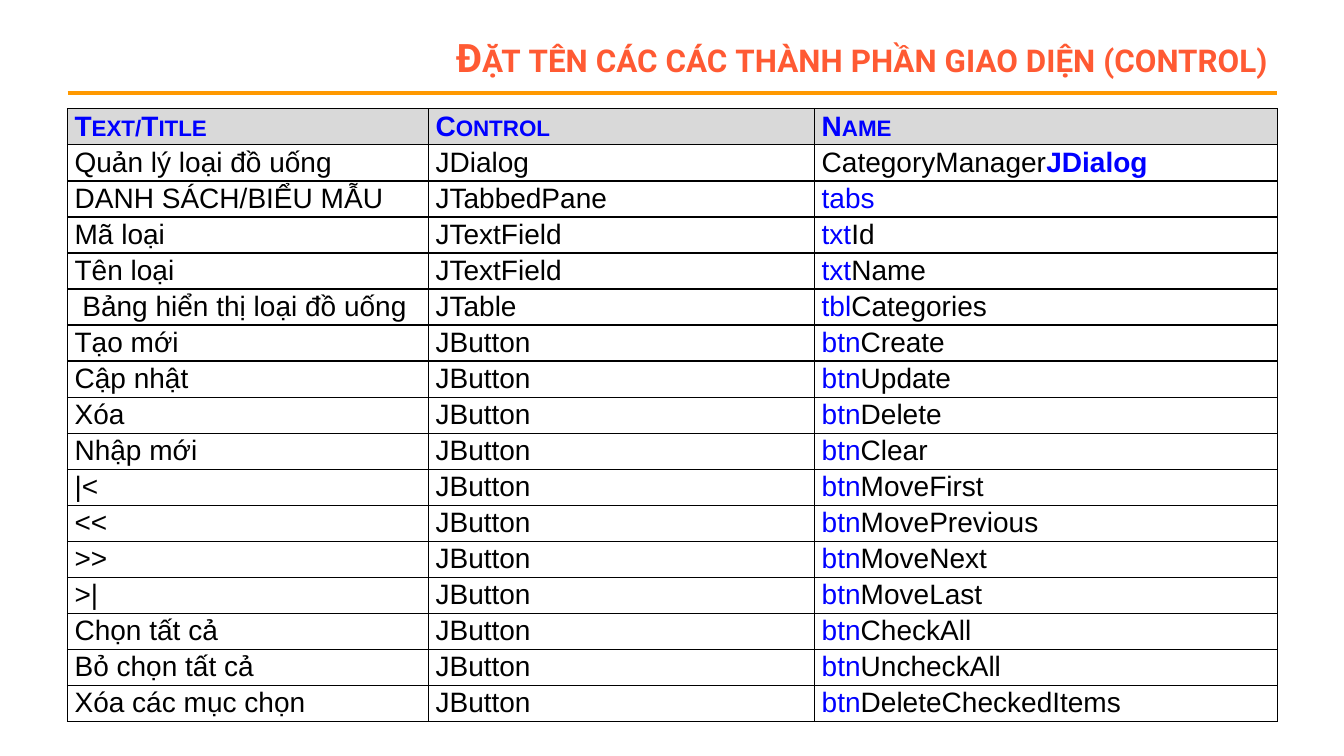
from lxml.etree import SubElement
from pptx import Presentation
from pptx.dml.color import RGBColor
from pptx.enum.shapes import MSO_CONNECTOR
from pptx.enum.text import MSO_ANCHOR, PP_ALIGN
from pptx.oxml import parse_xml
from pptx.oxml.ns import nsdecls, qn
from pptx.util import Inches, Pt

BLACK = RGBColor(0x00, 0x00, 0x00)
BLUE = RGBColor(0x00, 0x00, 0xFF)
GREY = RGBColor(0xD9, 0xD9, 0xD9)
CORAL = RGBColor(0xFF, 0x5A, 0x33)
ORANGE = RGBColor(0xFF, 0x99, 0x00)

MARGIN, CONTENT_WIDTH = 0.67, 12
COLUMN_WIDTHS = (3.58, 3.83, 4.59)
TITLE = "Đặt tên các các thành phần giao diện (control)"
HEADINGS = ("Text/Title", "Control", "Name")

# Caption, control class, then the name as prefix, stem and suffix
CONTROLS = (
    ("Quản lý loại đồ uống", "JDialog", "", "CategoryManager", "JDialog"),
    ("DANH SÁCH/BIỂU MẪU", "JTabbedPane", "tabs", "", ""),
    ("Mã loại", "JTextField", "txt", "Id", ""),
    ("Tên loại", "JTextField", "txt", "Name", ""),
    (" Bảng hiển thị loại đồ uống", "JTable", "tbl", "Categories", ""),
) + tuple((caption, "JButton", "btn", action, "") for caption, action in (
    ("Tạo mới", "Create"),
    ("Cập nhật", "Update"),
    ("Xóa", "Delete"),
    ("Nhập mới", "Clear"),
    ("|<", "MoveFirst"),
    ("<<", "MovePrevious"),
    (">>", "MoveNext"),
    (">|", "MoveLast"),
    ("Chọn tất cả", "CheckAll"),
    ("Bỏ chọn tất cả", "UncheckAll"),
    ("Xóa các mục chọn", "DeleteCheckedItems"),
))


def add_run(paragraph, text, color, font="Arial", size=20, bold=False, small_caps=False):
    run = paragraph.add_run()
    run.text = text
    run.font.name, run.font.size, run.font.bold = font, Pt(size), bold
    run.font.color.rgb = color
    if small_caps:
        run._r.get_or_add_rPr().set("cap", "small")


def add_heading(slide, left, top, width, height):
    """Right-aligned title with a rule under it."""
    indent = 1.78
    title = slide.shapes.add_textbox(
        Inches(left + indent), Inches(top), Inches(width - indent), Inches(height - 0.09))
    frame = title.text_frame
    frame.word_wrap = True
    frame.vertical_anchor = MSO_ANCHOR.MIDDLE
    paragraph = frame.paragraphs[0]
    paragraph.alignment = PP_ALIGN.RIGHT
    add_run(paragraph, TITLE, CORAL, "Roboto", 28, bold=True, small_caps=True)

    rule_y = Inches(top + height)
    rule = slide.shapes.add_connector(
        MSO_CONNECTOR.STRAIGHT, Inches(left), rule_y, Inches(left + width), rule_y)
    rule.line.color.rgb = ORANGE
    rule.line.width = Pt(3)
    SubElement(rule._element.spPr, qn("a:effectLst"))


def add_borders(cell):
    properties = cell._tc.get_or_add_tcPr()
    for position, side in enumerate(("lnL", "lnR", "lnT", "lnB")):
        properties.insert(position, parse_xml(
            f'<a:{side} {nsdecls("a")} w="{Pt(1)}"><a:solidFill>'
            f'<a:srgbClr val="{BLACK}"/></a:solidFill></a:{side}>'))


def format_cell(cell):
    """Set margins, spacing and borders, and return the cell's paragraph."""
    cell.margin_left = cell.margin_right = Inches(0.07)
    cell.margin_top = cell.margin_bottom = 0
    add_borders(cell)
    paragraph = cell.text_frame.paragraphs[0]
    paragraph.alignment = PP_ALIGN.JUSTIFY
    paragraph.line_spacing = 1.07
    paragraph.space_before = paragraph.space_after = Pt(6)
    return paragraph


def add_control_table(slide, left, top, width, height):
    row_count = len(CONTROLS) + 1
    table = slide.shapes.add_table(
        row_count, len(HEADINGS),
        Inches(left), Inches(top), Inches(width), Inches(height)).table
    table.first_row = table.horz_banding = False
    for column, column_width in zip(table.columns, COLUMN_WIDTHS):
        column.width = Inches(column_width)
    for row in table.rows:
        row.height = Inches(height / row_count)

    for cell, heading in zip(table.rows[0].cells, HEADINGS):
        cell.fill.solid()
        cell.fill.fore_color.rgb = GREY
        add_run(format_cell(cell), heading, BLUE, bold=True, small_caps=True)

    for row_number, (caption, control, prefix, stem, suffix) in enumerate(CONTROLS, 1):
        cells = table.rows[row_number].cells
        name_parts = ((prefix, BLUE, False), (stem, BLACK, False), (suffix, BLUE, True))
        row_parts = (((caption, BLACK, False),), ((control, BLACK, False),), name_parts)
        for cell, parts in zip(cells, row_parts):
            cell.fill.background()
            paragraph = format_cell(cell)
            for text, color, bold in parts:
                if text:
                    add_run(paragraph, text, color, bold=bold)


def main():
    deck = Presentation()
    deck.slide_width, deck.slide_height = Inches(13.33), Inches(7.5)
    slide = deck.slides.add_slide(deck.slide_layouts[6])
    add_heading(slide, MARGIN, 0.3, CONTENT_WIDTH, 0.62)
    add_control_table(slide, MARGIN, 1.08, CONTENT_WIDTH, 6.08)
    deck.save("out.pptx")


if __name__ == "__main__":
    main()
